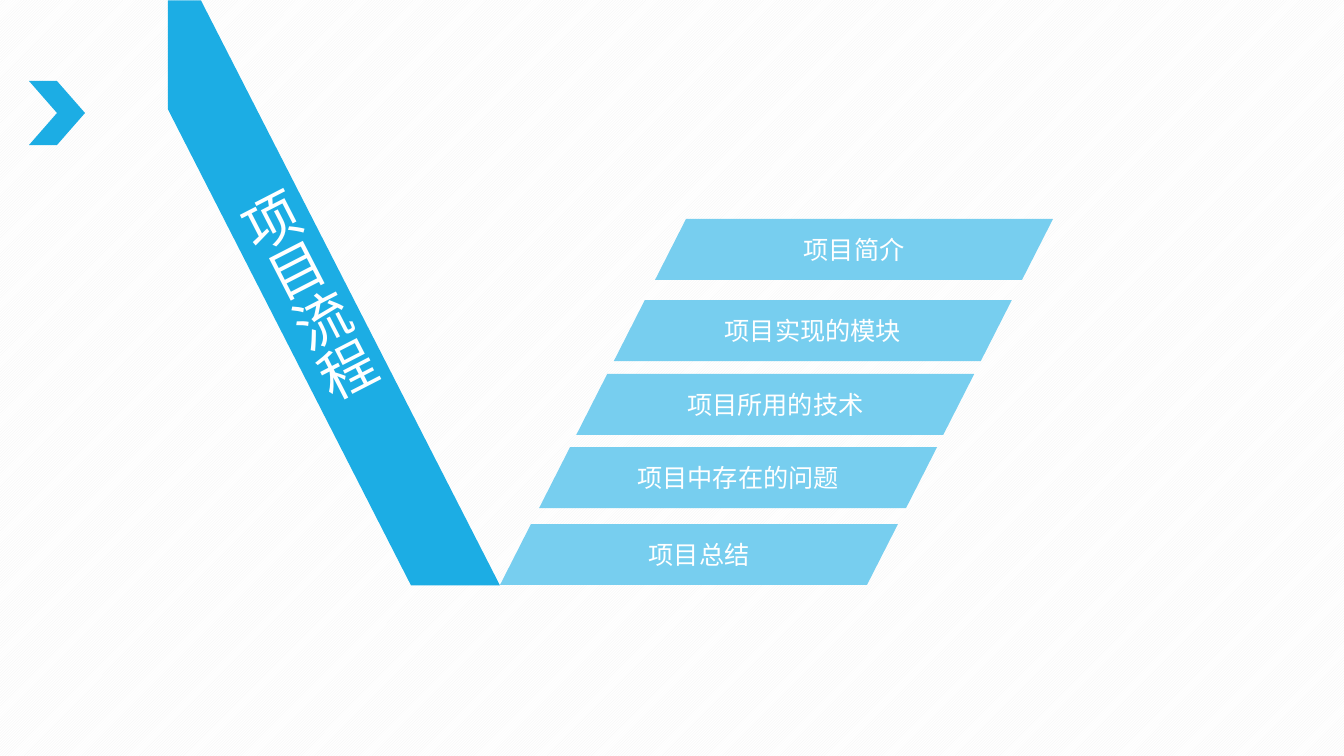
from math import cos, radians, sin

from pptx import Presentation
from pptx.dml.color import RGBColor
from pptx.enum.dml import MSO_PATTERN
from pptx.enum.shapes import MSO_SHAPE
from pptx.enum.text import MSO_ANCHOR, PP_ALIGN
from pptx.util import Pt

TITLE = "项目流程"
STEPS = [
    ("项目简介", 219),
    ("项目实现的模块", 300),
    ("项目所用的技术", 374),
    ("项目中存在的问题", 447),
    ("项目总结", 524),
]

BLUE, LIGHT_BLUE, WHITE, GREY = "1CADE4", "77CEEF", "FFFFFF", "F2F2F2"
FONT = "Arial"
SCALE = 914400 / 100.8

CHEVRON = (29, 81, 56, 64)
BAND = [(168, 0), (201, 0), (500, 585), (411, 585), (168, 109)]
BAND_CENTER = (311, 304)
BAND_TILT = 27.1
BAND_INSETS = (10, 215, 10, 225)
BAR_INSETS = (24, 5, 24, 5)
BAR_WIDTH, BAR_HEIGHT, BAR_SLANT = 367, 61, 31
FOOT_X, FOOT_Y = 500, 585


def px(length):
    return round(length * SCALE)


def color(value):
    return RGBColor.from_string(value)


def paint(shape, fill):
    shape.shadow.inherit = False
    shape.fill.solid()
    shape.fill.fore_color.rgb = color(fill)
    shape.line.fill.background()


def add_outline(slide, points, fill):
    points = [(px(x), px(y)) for x, y in points]
    builder = slide.shapes.build_freeform(*points[0])
    builder.add_line_segments(points[1:], close=True)
    shape = builder.convert_to_shape()
    paint(shape, fill)
    return shape


def write(shape, text, size, insets):
    frame = shape.text_frame
    frame.text = text
    frame.word_wrap = True
    frame.vertical_anchor = MSO_ANCHOR.MIDDLE
    frame.margin_left, frame.margin_top, frame.margin_right, frame.margin_bottom = map(px, insets)
    paragraph = frame.paragraphs[0]
    paragraph.alignment = PP_ALIGN.CENTER
    font = paragraph.runs[0].font
    font.name = FONT
    font.size = Pt(size)
    font.color.rgb = color(WHITE)


def turn(point, center, degrees):
    angle = radians(degrees)
    x, y = point[0] - center[0], point[1] - center[1]
    return (center[0] + x * cos(angle) - y * sin(angle),
            center[1] + x * sin(angle) + y * cos(angle))


def add_step(slide, text, top):
    bottom = top + BAR_HEIGHT
    left = FOOT_X + (FOOT_Y - bottom) * BAR_SLANT / BAR_HEIGHT
    right = left + BAR_WIDTH
    corners = [(left + BAR_SLANT, top), (right + BAR_SLANT, top), (right, bottom), (left, bottom)]
    write(add_outline(slide, corners, LIGHT_BLUE), text, 18, BAR_INSETS)


def add_title_band(slide):
    upright = [turn(point, BAND_CENTER, BAND_TILT) for point in BAND]
    band = add_outline(slide, upright, BLUE)
    band.rotation = 360 - BAND_TILT
    write(band, TITLE, 40, BAND_INSETS)
    band.text_frame._txBody.bodyPr.set("vert", "eaVert")


def main():
    presentation = Presentation()
    presentation.slide_width, presentation.slide_height = px(1344), px(756)
    slide = presentation.slides.add_slide(presentation.slide_layouts[6])

    background = slide.background.fill
    background.patterned()
    background.pattern = MSO_PATTERN.LIGHT_UPWARD_DIAGONAL
    background.fore_color.rgb = color(GREY)
    background.back_color.rgb = color(WHITE)

    paint(slide.shapes.add_shape(MSO_SHAPE.CHEVRON, *map(px, CHEVRON)), BLUE)
    for text, top in reversed(STEPS):
        add_step(slide, text, top)
    add_title_band(slide)
    presentation.save("out.pptx")


if __name__ == "__main__":
    main()
